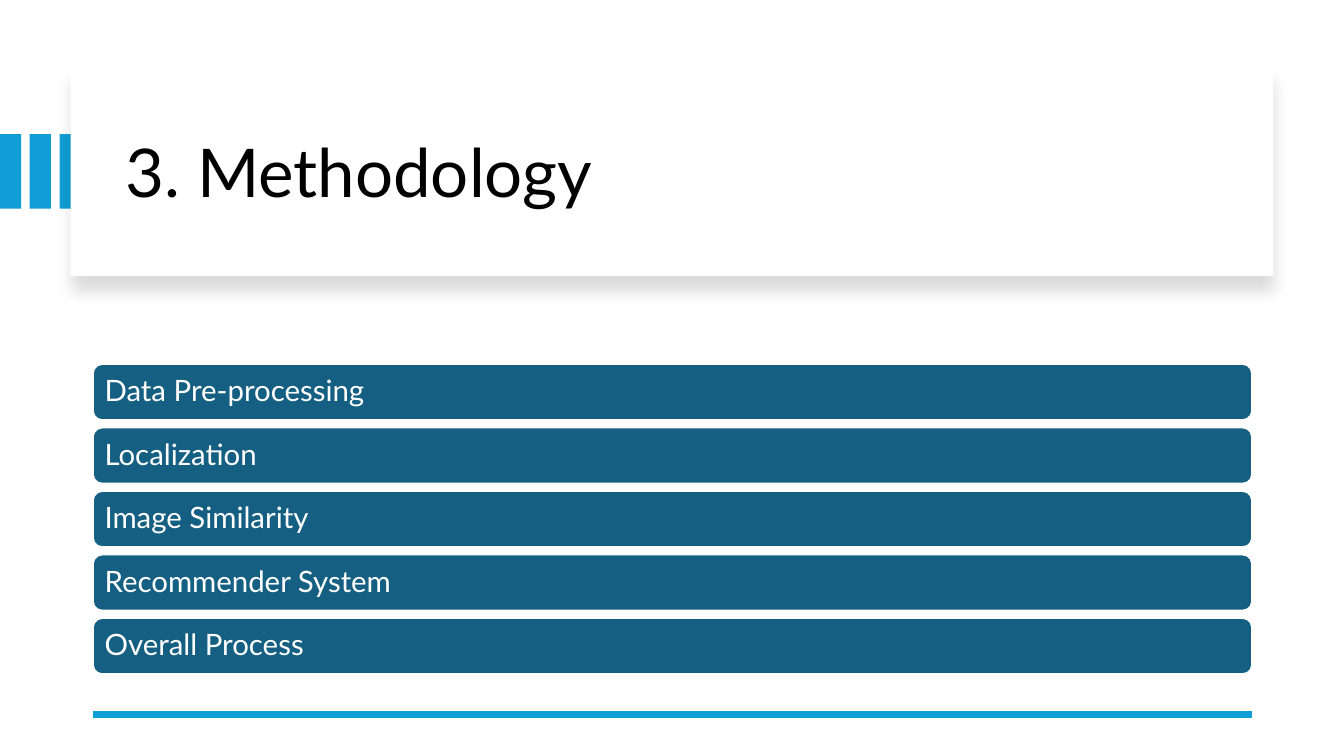
from lxml import etree
from pptx import Presentation
from pptx.dml.color import RGBColor
from pptx.enum.shapes import MSO_CONNECTOR, MSO_SHAPE
from pptx.enum.text import MSO_ANCHOR, PP_ALIGN
from pptx.oxml import parse_xml
from pptx.oxml.ns import nsdecls, qn
from pptx.util import Inches, Pt

COLORS = {"accent": "0F9ED5", "bar": "156082", "white": "FFFFFF", "black": "000000"}
FONT = "Lato"
STEPS = ["Data Pre-processing", "Localization", "Image Similarity",
         "Recommender System", "Overall Process"]


def add_box(kind, left, top, width, height, color):
    """Add a filled shape without outline or shadow."""
    shape = slide.shapes.add_shape(
        kind, Inches(left), Inches(top), Inches(width), Inches(height))
    shape.shadow.inherit = False
    shape.fill.solid()
    shape.fill.fore_color.rgb = RGBColor.from_string(COLORS[color])
    shape.line.fill.background()
    return shape


def write_text(shape, text, size, color):
    """Write one left-aligned, vertically centred line of text."""
    frame = shape.text_frame
    frame.word_wrap = True
    frame.vertical_anchor = MSO_ANCHOR.MIDDLE
    paragraph = frame.paragraphs[0]
    paragraph.alignment = PP_ALIGN.LEFT
    paragraph.line_spacing = 0.9
    run = paragraph.add_run()
    run.text = text
    run.font.name = FONT
    run.font.size = Pt(size)
    run.font.color.rgb = RGBColor.from_string(COLORS[color])


presentation = Presentation()
presentation.slide_width = Inches(13.33)
presentation.slide_height = Inches(7.5)
slide = presentation.slides.add_slide(presentation.slide_layouts[5])

# Accent stripes, partly covered by the title card
for index in range(3):
    add_box(MSO_SHAPE.RECTANGLE, index * 0.295, 1.33, 0.21, 0.74, "accent")

# Title card with a soft shadow below
card = add_box(MSO_SHAPE.RECTANGLE, 0.7, 0.67, 11.93, 2.07, "white")
effects = card._element.spPr.find(qn("a:effectLst"))
effects.append(parse_xml(
    f'<a:outerShdw {nsdecls("a")} blurRad="{Pt(11)}" dist="{Pt(10)}" dir="5400000" '
    f'algn="t" rotWithShape="0"><a:srgbClr val="{COLORS["black"]}">'
    '<a:alpha val="15000"/></a:srgbClr></a:outerShdw>'))

# Bottom rule
rule = slide.shapes.add_connector(
    MSO_CONNECTOR.STRAIGHT, Inches(12.42), Inches(7.09), Inches(0.92), Inches(7.09))
rule.line.color.rgb = RGBColor.from_string(COLORS["accent"])
rule.line.width = Pt(4.5)
etree.SubElement(rule._element.spPr, qn("a:effectLst"))

# Title, brought in front of the card
title = slide.shapes.title
title.left, title.top = Inches(1.14), Inches(1.02)
title.width, title.height = Inches(11.08), Inches(1.45)
write_text(title, "3. Methodology", 48, "black")
rule._element.addnext(title._element)

# Methodology steps
for index, step in enumerate(STEPS):
    bar = add_box(MSO_SHAPE.ROUNDED_RECTANGLE, 0.92, 3.61 + index * 0.63, 11.5, 0.56, "bar")
    bar.line.color.rgb = RGBColor.from_string(COLORS["white"])
    bar.line.width = Pt(1.5)
    frame = bar.text_frame
    frame.margin_left = frame.margin_right = Inches(0.09)
    frame.margin_top = frame.margin_bottom = Inches(0.09)
    write_text(bar, step, 21, "white")

presentation.save("out.pptx")
